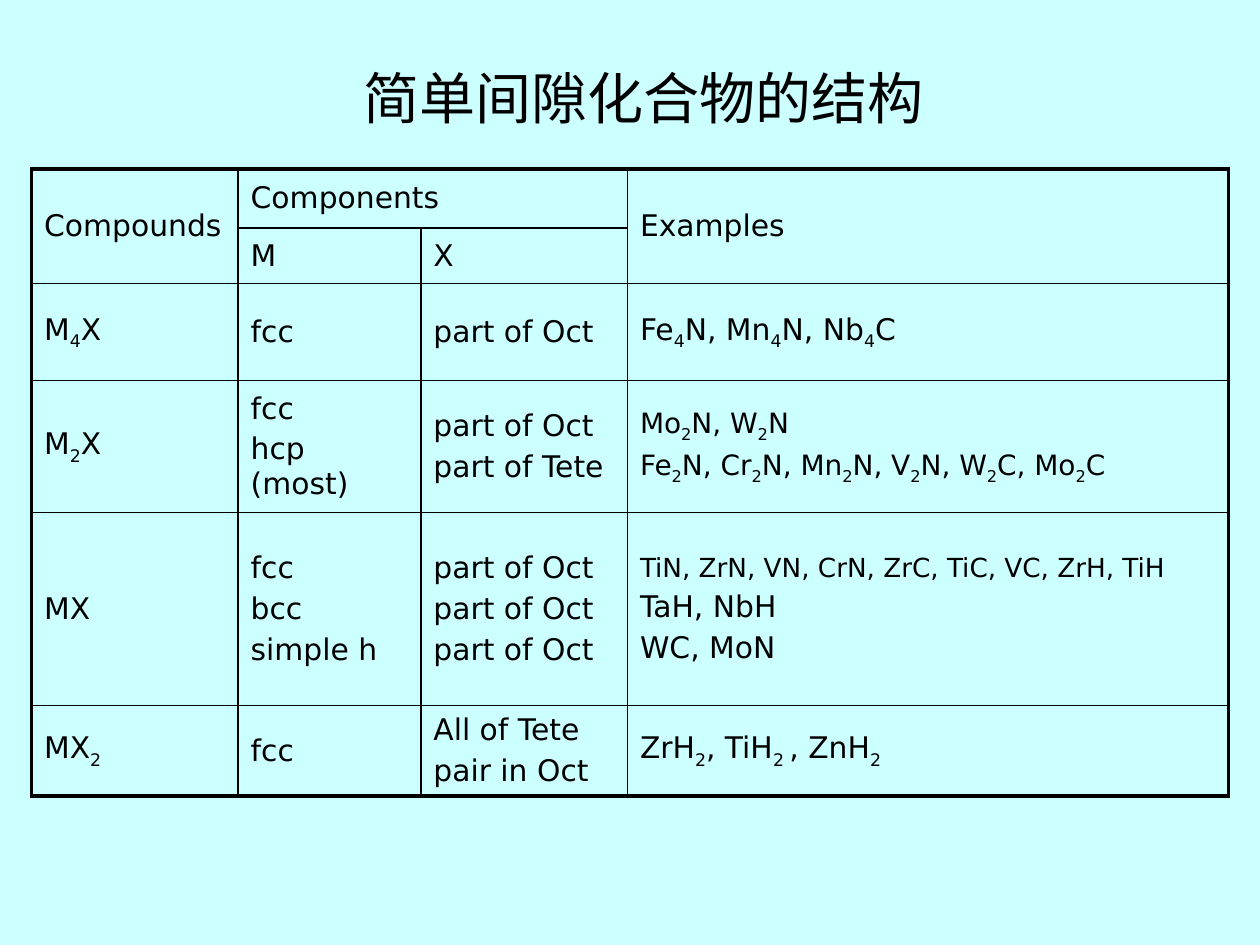
from lxml import etree
from pptx import Presentation
from pptx.dml.color import RGBColor
from pptx.enum.text import MSO_ANCHOR, MSO_AUTO_SIZE, PP_ALIGN
from pptx.oxml.ns import qn
from pptx.util import Inches, Pt

MIDDLE = MSO_ANCHOR.MIDDLE
CENTER = PP_ALIGN.CENTER
LEFT = PP_ALIGN.LEFT
BLACK = RGBColor(0x00, 0x00, 0x00)
PALE_CYAN = RGBColor(0xCC, 0xFF, 0xFF)
TABLE_FONT = "DejaVu Sans"
TITLE_FONT = "Noto Sans CJK SC"
BODY_SIZE = 17
OUTER_LINE, INNER_LINE = 2.25, 1

TITLE = "简单间隙化合物的结构"
COLUMN_WIDTHS = [1.64, 1.45, 1.64, 4.77]
ROW_HEIGHTS = [0.47, 0.44, 0.77, 1.05, 1.53, 0.72]
MERGES = [((0, 0), (1, 0)), ((0, 1), (0, 2)), ((0, 3), (1, 3))]
# Underscores enclose subscripts; line breaks separate paragraphs.
ROWS = [
    ["Compounds", "Components", "", "Examples"],
    ["", "M", "X", ""],
    ["M_4_X", "fcc", "part of Oct", "Fe_4_N, Mn_4_N, Nb_4_C"],
    ["M_2_X", "fcc\nhcp (most)", "part of Oct\npart of Tete",
     "Mo_2_N, W_2_N\nFe_2_N, Cr_2_N, Mn_2_N, V_2_N, W_2_C, Mo_2_C"],
    ["MX", "fcc\nbcc\nsimple h", "part of Oct\npart of Oct\npart of Oct",
     "TiN, ZrN, VN, CrN, ZrC, TiC, VC, ZrH, TiH\nTaH, NbH\nWC, MoN"],
    ["MX_2_", "fcc", "All of Tete\npair in Oct", "ZrH_2_, TiH_2 _, ZnH_2_"],
]
SPECIAL_SIZES = {(3, 3): [16, 16], (4, 3): [15, 17, 17]}


def write_text(text_frame, text, *, sizes, font_name, alignment=LEFT):
    for index, (line, size) in enumerate(zip(text.split("\n"), sizes)):
        paragraph = text_frame.add_paragraph() if index else text_frame.paragraphs[0]
        paragraph.alignment = alignment
        paragraph.space_before = Pt(0.2 * size if index else 0)
        for position, part in enumerate(line.split("_")):
            if not part:
                continue
            run = paragraph.add_run()
            run.text = part
            run.font.size = Pt(size)
            run.font.color.rgb = BLACK
            run.font.name = font_name
            properties = run.font._element
            etree.SubElement(properties, qn("a:ea"), typeface=font_name)
            if position % 2:
                properties.set("baseline", "-25000")


def set_borders(cell, widths):
    properties = cell._tc.get_or_add_tcPr()
    for side, width in widths.items():
        line = etree.SubElement(properties, qn(f"a:ln{side}"), w=str(Pt(width)))
        fill = etree.SubElement(line, qn("a:solidFill"))
        etree.SubElement(fill, qn("a:srgbClr"), val=str(BLACK))


def add_title(slide):
    title = slide.shapes.title
    title.left, title.top = Inches(1.41), Inches(0.45)
    title.width, title.height = Inches(7.4), Inches(0.64)
    text_frame = title.text_frame
    text_frame.word_wrap = True
    text_frame.auto_size = MSO_AUTO_SIZE.SHAPE_TO_FIT_TEXT
    text_frame.vertical_anchor = MIDDLE
    write_text(text_frame, TITLE, sizes=[32], font_name=TITLE_FONT, alignment=CENTER)


def add_compound_table(slide):
    last_row, last_column = len(ROWS) - 1, len(COLUMN_WIDTHS) - 1
    table = slide.shapes.add_table(
        len(ROWS), len(COLUMN_WIDTHS), Inches(0.25), Inches(1.34),
        Inches(sum(COLUMN_WIDTHS)), Inches(sum(ROW_HEIGHTS))).table
    table.first_row = table.horz_banding = False
    for column, width in zip(table.columns, COLUMN_WIDTHS):
        column.width = Inches(width)
    for row, height in zip(table.rows, ROW_HEIGHTS):
        row.height = Inches(height)
    for start, end in MERGES:
        table.cell(*start).merge(table.cell(*end))

    for i, row in enumerate(ROWS):
        for j, text in enumerate(row):
            cell = table.cell(i, j)
            outer_sides = {"L": j == 0, "R": j == last_column,
                           "T": i == 0, "B": i == last_row}
            set_borders(cell, {side: OUTER_LINE if outer else INNER_LINE
                               for side, outer in outer_sides.items()})
            cell.fill.background()
            cell.vertical_anchor = MIDDLE
            sizes = SPECIAL_SIZES.get((i, j), [BODY_SIZE] * 3)
            write_text(cell.text_frame, text, sizes=sizes, font_name=TABLE_FONT)


def main():
    presentation = Presentation()
    presentation.slide_width, presentation.slide_height = Inches(10), Inches(7.5)
    slide = presentation.slides.add_slide(presentation.slide_layouts[5])
    slide.background.fill.solid()
    slide.background.fill.fore_color.rgb = PALE_CYAN
    add_compound_table(slide)
    add_title(slide)
    presentation.save("out.pptx")


if __name__ == "__main__":
    main()
